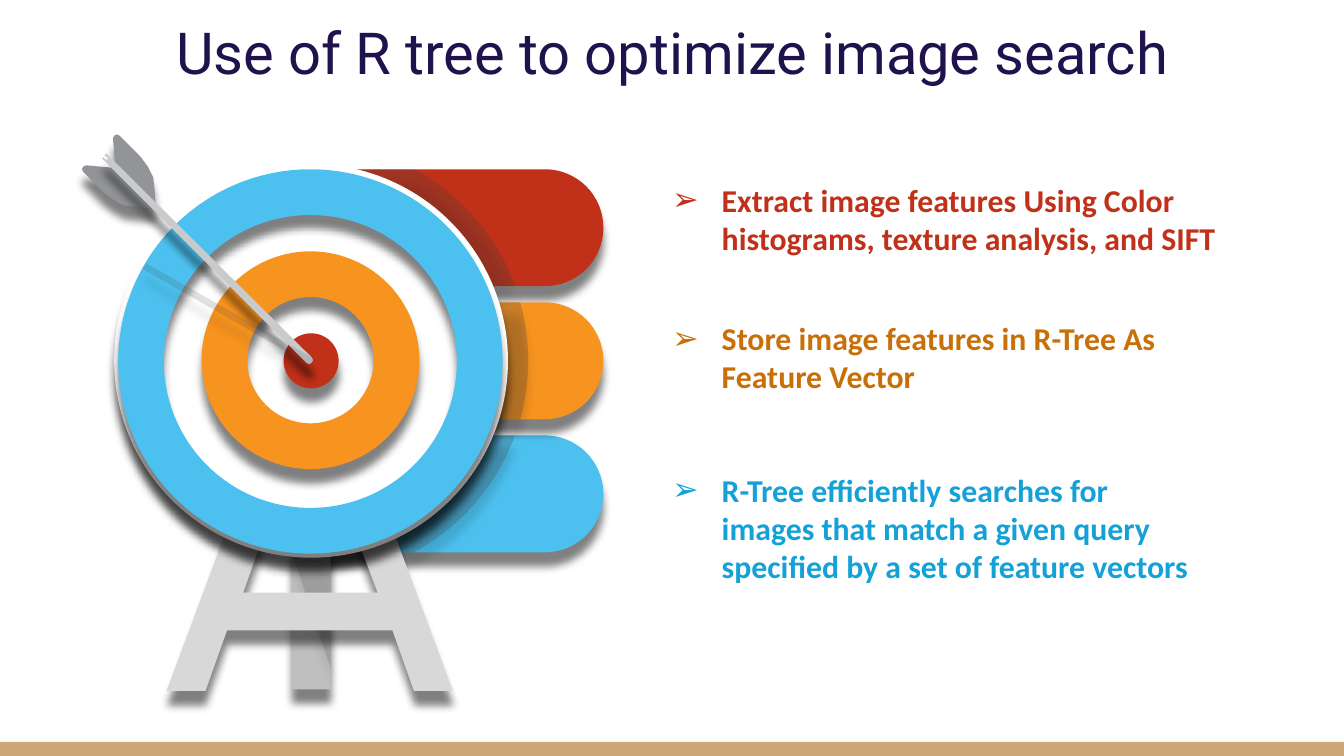
from math import asin, cos, degrees, radians, sin

from lxml.etree import SubElement
from pptx import Presentation
from pptx.dml.color import RGBColor
from pptx.enum.shapes import MSO_SHAPE
from pptx.enum.text import MSO_ANCHOR, MSO_AUTO_SIZE, PP_ALIGN
from pptx.oxml import parse_xml
from pptx.oxml.ns import nsdecls, qn
from pptx.util import Inches, Pt

PX = 9144  # one px is a hundredth of an inch
COLORS = {
    "red": "C13018", "orange": "F7931F", "blue": "4CC1EF",
    "orange text": "C96F07", "blue text": "13A1D8", "title": "20124D",
    "white": "FFFFFF", "leg": "D8D8D8", "back leg": "BFBFBF",
    "feather": "929497", "shaft": "C8CACB", "shade": "3F3F3F", "bar": "CCA677",
}


def emu(*lengths):
    return [round(length * PX) for length in lengths]


def paint(shape, color, opacity=100, shadow=50):
    """Fill a shape without outline; shadow is its opacity in percent."""
    shape.fill.solid()
    shape.fill.fore_color.rgb = RGBColor.from_string(COLORS[color])
    shape.line.fill.background()
    if opacity < 100:
        color_element = shape._element.spPr.find(qn("a:solidFill"))[0]
        SubElement(color_element, qn("a:alpha")).set("val", str(opacity * 1000))
    shape.shadow.inherit = False
    if shadow:
        effects = shape._element.spPr.find(qn("a:effectLst"))
        effects.append(parse_xml(
            f'<a:outerShdw {nsdecls("a")} blurRad="{Pt(4.5)}" dist="{Pt(7.5)}" '
            'dir="5400000" algn="t" rotWithShape="0"><a:srgbClr val="000000">'
            f'<a:alpha val="{shadow * 1000}"/></a:srgbClr></a:outerShdw>'))


def add_preset(slide, box, preset, place, color, **look):
    left, top, width, height = place
    shape = slide.shapes.add_shape(
        preset, *emu(box[0] + left, box[1] + top, width, height))
    paint(shape, color, **look)
    return shape


def add_outline(slide, box, points, color, **look):
    corners = [emu(box[0] + x, box[1] + y) for x, y in points]
    builder = slide.shapes.build_freeform(*corners[0], scale=1.0)
    builder.add_line_segments(corners[1:], close=True)
    paint(builder.convert_to_shape(), color, **look)


def arc(center_x, center_y, radius, start, end, steps=32):
    angles = [radians(start + (end - start) * i / steps) for i in range(steps + 1)]
    return [(center_x + radius * cos(a), center_y + radius * sin(a)) for a in angles]


def add_tabs(slide, box):
    width, height = box[2:]
    tab_height, pitch = 87, 99
    radius = tab_height / 2
    for row, color in ((0, "red"), (2, "blue"), (1, "orange")):
        top = row * pitch
        end = arc(width - radius, top + radius, radius, -90, 90)
        add_outline(slide, box, [(0, top), *end, (0, top + tab_height)], color)
    # Shade that the board casts on each tab
    middle, reach = height / 2, 162
    for row, shadow in enumerate((30, 50, 50)):
        top, bottom = row * pitch, row * pitch + tab_height
        start, end = (degrees(asin((y - middle) / reach)) for y in (top, bottom))
        edge = arc(-1, middle, reach, start, end)
        add_outline(slide, box, [(0, top), *edge, (0, bottom)], "shade",
                    opacity=25, shadow=shadow)


def add_stand(slide, box):
    add_preset(slide, box, MSO_SHAPE.RECTANGLE, (93, 0, 29, 117), "back leg")
    add_outline(slide, box, [(122, 0), (122, 101), (93, 15), (93, 0)], "shade",
                opacity=16)
    add_outline(slide, box, [
        (184, 118), (213, 118), (169, 0), (140, 0), (157, 45), (57, 45),
        (73, 0), (44, 0), (0, 118), (29, 118), (45, 73), (168, 73)], "leg")


def add_board(slide, box):
    ring_width = 34
    add_preset(slide, box, MSO_SHAPE.OVAL, (0, 0, box[2], box[3]), "white")
    for left, top, size, color in ((3, 4, 286, "blue"), (65, 65, 162, "orange")):
        ring = add_preset(slide, box, MSO_SHAPE.DONUT, (left, top, size, size), color)
        ring.adjustments[0] = ring_width / size
    add_preset(slide, box, MSO_SHAPE.OVAL, (126, 126, 41, 41), "red")


def add_arrow(slide, box):
    # Two feathers mirrored on the diagonal
    feather = [(54, 41), (55, 55), (25, 25), (23, 3), (24, 1), (26, 0), (28, 1),
               (43, 16), (49, 24), (53, 32)]
    add_outline(slide, box, feather, "feather")
    add_outline(slide, box, [(y, x) for x, y in feather], "feather")
    # Shaft and the shade it casts
    add_outline(slide, box, [
        (17, 16), (20, 18), (18, 19), (16, 17), (15, 18), (167, 170), (169, 171),
        (171, 170), (172, 168), (171, 166), (18, 14)], "shaft")
    add_outline(slide, box, [
        (171, 166), (48, 96), (45, 100), (169, 171), (172, 170), (172, 168)],
        "shade", opacity=16)


def set_text(placeholder, place, text, font_name, size, bold, color, align):
    names = ("left", "top", "width", "height")
    for name, value in zip(names, emu(*place)):
        setattr(placeholder, name, value)
    frame = placeholder.text_frame
    frame.text = text
    frame_format = {
        "word_wrap": True, "auto_size": MSO_AUTO_SIZE.SHAPE_TO_FIT_TEXT,
        "vertical_anchor": MSO_ANCHOR.BOTTOM, "margin_left": 0, "margin_right": 0,
        "margin_top": 5 * PX, "margin_bottom": 5 * PX}
    for name, value in frame_format.items():
        setattr(frame, name, value)
    paragraph = frame.paragraphs[0]
    paragraph.alignment = align
    paragraph.space_before = Pt(0)
    font = paragraph.runs[0].font
    for name, value in {"name": font_name, "size": Pt(size), "bold": bold}.items():
        setattr(font, name, value)
    font.color.rgb = RGBColor.from_string(COLORS[color])
    return paragraph


def add_title(slide, box):
    set_text(slide.shapes.title, box, "Use of R tree to optimize image search",
             "Roboto", 31, False, "title", PP_ALIGN.CENTER)


def add_steps(slide, box):
    steps = (
        (1, 0, 442, 67, "red",
         "Extract image features Using Color histograms, texture analysis, and SIFT"),
        (2, 103, 407, 67, "orange text",
         "Store image features in R-Tree As Feature Vector"),
        (3, 215, 398, 96, "blue text",
         "R-Tree efficiently searches for images that match a given query "
         "specified by a set of feature vectors"))
    for index, top, width, height, color, text in steps:
        place = (box[0], box[1] + top, width, height)
        paragraph = set_text(slide.placeholders[index], place, text,
                             "Calibri", 17, True, color, PP_ALIGN.LEFT)
        properties = paragraph._p.get_or_add_pPr()
        properties.set("marL", str(50 * PX))
        properties.set("indent", str(-37 * PX))
        bullet_color = SubElement(properties, qn("a:buClr"))
        SubElement(bullet_color, qn("a:srgbClr")).set("val", COLORS[color])
        SubElement(properties, qn("a:buFont")).set("typeface", "Arial")
        SubElement(properties, qn("a:buChar")).set("char", "➢")


def main():
    presentation = Presentation()
    presentation.slide_width = Inches(10)
    presentation.slide_height = presentation.slide_width * 9 // 16
    slide = presentation.slides.add_slide(presentation.slide_layouts[4])
    spare = slide.placeholders[4]._element
    spare.getparent().remove(spare)

    add_preset(slide, (0, 552), MSO_SHAPE.RECTANGLE, (0, 0, 1000, 11), "bar", shadow=0)
    add_tabs(slide, (232, 126, 217, 285))
    add_stand(slide, (124, 396, 214, 118))
    add_board(slide, (85, 122, 293, 293))
    add_arrow(slide, (61, 100, 172, 172))
    add_steps(slide, (487, 129, 442, 311))
    add_title(slide, (0, 7, 1000, 62))
    presentation.save("out.pptx")


if __name__ == "__main__":
    main()
